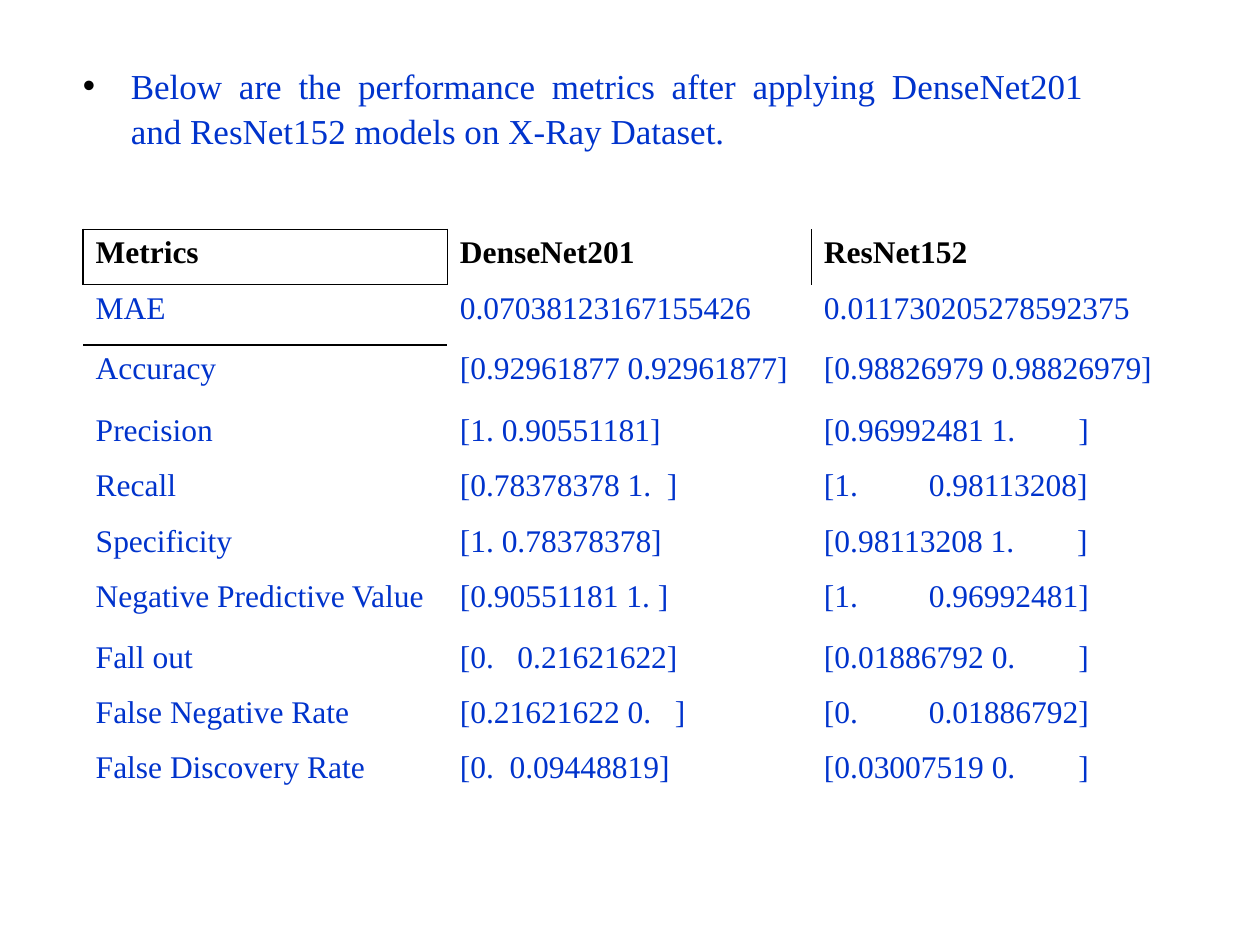
import pptx
import pptx.dml.color
import pptx.enum.text
import pptx.oxml
import pptx.oxml.ns
import pptx.util
from pptx.util import Inches

THEME = {
    "font": "Times New Roman",
    "blue": "0033CC",
    "black": "000000",
    "intro_size": 20,
    "table_size": 18,
}

INTRO = ("Below are the performance metrics after applying DenseNet201 "
         "and ResNet152 models on X-Ray Dataset.")

METRICS = [
    ("Metrics", "DenseNet201", "ResNet152"),
    ("MAE", "0.07038123167155426", "0.011730205278592375"),
    ("Accuracy", "[0.92961877 0.92961877]", "[0.98826979 0.98826979]"),
    ("Precision", "[1. 0.90551181]", "[0.96992481 1.        ]"),
    ("Recall", "[0.78378378 1.  ]", "[1.         0.98113208]"),
    ("Specificity", "[1. 0.78378378]", "[0.98113208 1.        ]"),
    ("Negative Predictive Value", "[0.90551181 1. ]", "[1.         0.96992481]"),
    ("Fall out", "[0.   0.21621622]", "[0.01886792 0.        ]"),
    ("False Negative Rate", "[0.21621622 0.   ]", "[0.         0.01886792]"),
    ("False Discovery Rate", "[0.  0.09448819]", "[0.03007519 0.        ]"),
]
COL_WIDTH = 2.89
ROW_HEIGHT = 0.44
TALL_ROWS = {1: 0.48, 2: 0.49, 6: 0.48}

# Ruled cell edges: (row, column) -> sides
BORDERS = {
    (0, 0): "LRTB",
    (0, 1): "LR",
    (0, 2): "L",
    (1, 0): "TB",
    (1, 1): "L",
    (2, 0): "T",
}
BORDERS[1, 1] = ""


def add_text(tf, text, *, size, color, bold=False):
    p = tf.paragraphs[0]
    r = p.add_run()
    r.text = text
    r.font.name = THEME["font"]
    r.font.size = pptx.util.Pt(size)
    r.font.bold = bold
    r.font.color.rgb = pptx.dml.color.RGBColor.from_string(color)
    return p


def add_xml(parent, xml):
    ns = pptx.oxml.ns.nsdecls("a")
    tag, rest = xml[:-1].split(" ", 1) if " " in xml.split(">")[0] else xml[:-1].split(">", 1)
    parent.append(pptx.oxml.parse_xml(f"{tag} {ns} {rest}>"))


def set_borders(cell, sides):
    tcPr = cell._tc.get_or_add_tcPr()
    for position, side in enumerate("LRTB"):
        if side in sides:
            width = pptx.util.Pt(1)
            fill = f'<a:solidFill><a:srgbClr val="{THEME["black"]}"/></a:solidFill>'
        else:
            width, fill = 0, "<a:noFill/>"
        ln = pptx.oxml.parse_xml(
            f'<a:ln{side} {pptx.oxml.ns.nsdecls("a")} w="{width}">{fill}</a:ln{side}>')
        tcPr.insert(position, ln)


def add_intro(s):
    tf = s.shapes.add_textbox(Inches(0.56), Inches(0.45), Inches(8.14), Inches(0.77)).text_frame
    tf.word_wrap = True
    tf.auto_size = pptx.enum.text.MSO_AUTO_SIZE.SHAPE_TO_FIT_TEXT
    p = add_text(tf, INTRO, size=THEME["intro_size"], color=THEME["blue"])
    p.alignment = pptx.enum.text.PP_ALIGN.JUSTIFY
    p.line_spacing = 1.05
    # Black hanging bullet
    pPr = p._p.get_or_add_pPr()
    pPr.set("marL", str(Inches(0.38)))
    pPr.set("indent", str(-Inches(0.38)))
    add_xml(pPr, f'<a:buClr ><a:srgbClr val="{THEME["black"]}"/></a:buClr>')
    add_xml(pPr, '<a:buFont typeface="Arial"/>')
    add_xml(pPr, '<a:buChar char="•"/>')


def add_metrics(s):
    heights = [TALL_ROWS.get(i, ROW_HEIGHT) for i in range(len(METRICS))]
    columns = len(METRICS[0])
    table = s.shapes.add_table(
        len(METRICS), columns, Inches(0.66), Inches(1.82),
        Inches(COL_WIDTH * columns), Inches(sum(heights))).table
    table.first_row = table.horz_banding = False
    for column in table.columns:
        column.width = Inches(COL_WIDTH)
    for i, (values, height) in enumerate(zip(METRICS, heights)):
        table.rows[i].height = Inches(height)
        for j, value in enumerate(values):
            cell = table.cell(i, j)
            header = i == 0
            add_text(cell.text_frame, value, size=THEME["table_size"], bold=header,
                     color=THEME["black" if header else "blue"])
            cell.fill.background()
            set_borders(cell, BORDERS.get((i, j), ""))


def main():
    prs = pptx.Presentation()
    prs.slide_width, prs.slide_height = Inches(10), Inches(7.5)
    s = prs.slides.add_slide(prs.slide_layouts[6])
    add_metrics(s)
    add_intro(s)
    prs.save("out.pptx")


if __name__ == "__main__":
    main()
